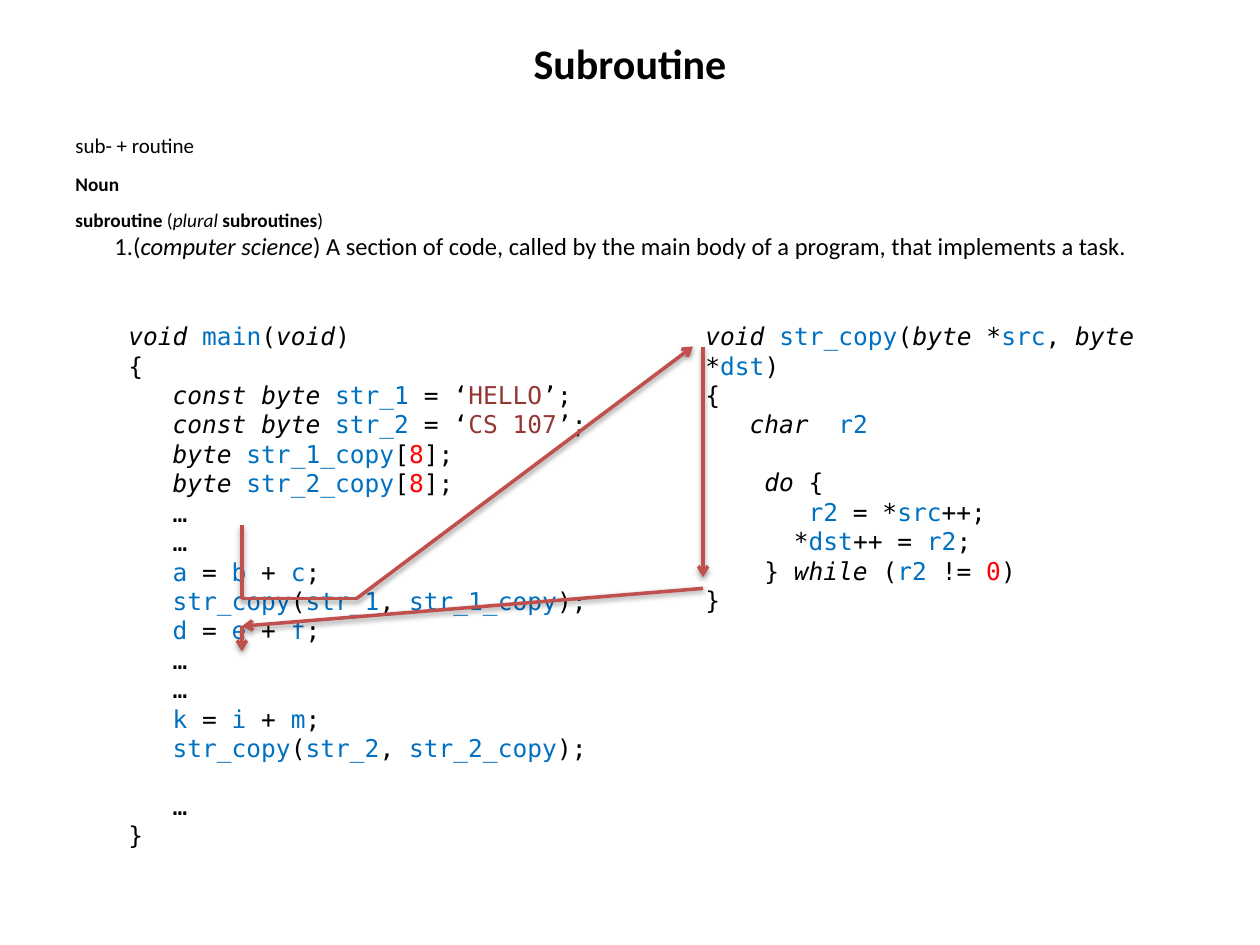
from itertools import groupby, pairwise

from lxml.etree import SubElement
from pptx import Presentation
from pptx.dml.color import RGBColor
from pptx.enum.shapes import MSO_CONNECTOR
from pptx.enum.text import MSO_AUTO_SIZE, PP_ALIGN
from pptx.oxml import parse_xml
from pptx.oxml.ns import nsdecls, qn
from pptx.util import Inches, Pt

BLACK, BLUE, RED, MAROON, ARROW = "000000", "0070C0", "FF0000", "953735", "C0504D"
TEXT_FONT, CODE_FONT = "Calibri", "DejaVu Sans Mono"
CODE_SIZE, CODE_LINE, CHARACTER_WIDTH = 14, 16.3, 0.117
KEYWORDS = {"void", "const", "byte", "char", "do", "while"}

TITLE = "Subroutine"

DEFINITION = [
    (12, 0, 0, [("sub- + routine", "")]),
    (11, 8.5, 0, [("Noun", "b")]),
    (11, 7.3, 0, [("subroutine", "b"), (" (", ""), ("plural ", "i"),
                  ("subroutines", "b"), (")", "")]),
    (14, 0, 0.31, [("1.(", ""), ("computer science", "i"),
                   (") A section of code, called by the main body of a program, "
                    "that implements a task.", "")]),
]

MAIN_CODE = [
    (0, "void main(void)"),
    (0, "{"),
    (3, "const byte str_1 = ‘HELLO’;"),
    (3, "const byte str_2 = ‘CS 107’;"),
    (3, "byte str_1_copy[8];"),
    (3, "byte str_2_copy[8];"),
    (3, "…"),
    (3, "…"),
    (3, "a = b + c;"),
    (3, "str_copy(str_1, str_1_copy);"),
    (3, "d = e + f;"),
    (3, "…"),
    (3, "…"),
    (3, "k = i + m;"),
    (3, "str_copy(str_2, str_2_copy);"),
    (3, "…"),
    (0, "}"),
]

COPY_CODE = [
    (0, "void str_copy(byte *src, byte *dst)"),
    (0, "{"),
    (3, "char  r2"),
    (4, "do {"),
    (7, "r2 = *src++;"),
    (6, "*dst++ = r2;"),
    (4, "} while (r2 != 0)"),
    (0, "}"),
]

CODE_BOXES = [
    ((5.5, 2.5, 4.01, 2.22), COPY_CODE, 3),
    ((0.92, 2.5, 3.9, 4.41), MAIN_CODE, 15),
]

CALL_ROUTE = [(1.92, 4.17), (1.92, 4.75), (2.83, 4.75), (5.5, 2.75)]
BODY_ROUTE = [(5.58, 2.75), (5.58, 4.58)]
RETURN_ROUTE = [(5.58, 4.67), (1.92, 4.97), (1.92, 5.17)]
ROUTES = [(CALL_ROUTE, {2}), (BODY_ROUTE, {0}), (RETURN_ROUTE, {0, 1})]


def color(value):
    return RGBColor.from_string(value)


def add_box(page, place):
    box = page.shapes.add_textbox(*map(Inches, place))
    box.text_frame.word_wrap = True
    box.text_frame.auto_size = MSO_AUTO_SIZE.SHAPE_TO_FIT_TEXT
    return box.text_frame


def add_paragraph(frame, first, indent=0, space=0):
    para = frame.paragraphs[0] if first else frame.add_paragraph()
    para.space_before = Pt(space)
    if indent:
        properties = para._p.get_or_add_pPr()
        properties.set("marL", str(Inches(indent)))
        properties.set("indent", "0")
    return para


def add_span(para, text, size, font, fill=BLACK, bold=False, italic=False):
    span = para.add_run()
    span.text = text
    span.font.size = Pt(size)
    span.font.name = font
    span.font.bold = bold
    span.font.italic = italic
    span.font.color.rgb = color(fill)


def highlight(line):
    code, opening, rest = line.partition("‘")
    literal, closing, ending = rest.partition("’")
    for is_word, letters in groupby(code, lambda c: c.isalnum() or c == "_"):
        word = "".join(letters)
        if not is_word or word in KEYWORDS:
            yield word, BLACK, word in KEYWORDS
        else:
            yield word, RED if word.isdigit() else BLUE, False
    if opening:
        yield opening, BLACK, False
        yield literal, MAROON, False
        yield closing + ending, BLACK, False


def add_code(page, place, lines, line_after_gap):
    frame = add_box(page, place)
    for index, (spaces, line) in enumerate(lines):
        gap = CODE_LINE if index == line_after_gap else 0
        para = add_paragraph(frame, index == 0, spaces * CHARACTER_WIDTH, gap)
        for text, fill, italic in highlight(line):
            add_span(para, text, CODE_SIZE, CODE_FONT, fill, italic=italic)


def add_line(page, start, end, arrow):
    line = page.shapes.add_connector(
        MSO_CONNECTOR.STRAIGHT, *map(Inches, start + end))
    line.line.color.rgb = color(ARROW)
    line.line.width = Pt(2)
    if arrow:
        SubElement(line.line._get_or_add_ln(), qn("a:tailEnd"), type="arrow")
    line._element.spPr.append(parse_xml(
        f'<a:effectLst {nsdecls("a")}>'
        f'<a:outerShdw blurRad="{Pt(3.1)}" dist="{Pt(1.6)}" dir="5400000" rotWithShape="0">'
        f'<a:srgbClr val="{BLACK}"><a:alpha val="38000"/></a:srgbClr>'
        '</a:outerShdw></a:effectLst>'))


def main():
    deck = Presentation()
    deck.slide_width, deck.slide_height = Inches(10), Inches(7.5)
    page = deck.slides.add_slide(deck.slide_layouts[6])

    frame = add_box(page, (0.5, 1, 8.75, 1.13))
    for index, (size, space, indent, spans) in enumerate(DEFINITION):
        para = add_paragraph(frame, index == 0, indent, space)
        for text, style in spans:
            add_span(para, text, size, TEXT_FONT,
                     bold=style == "b", italic=style == "i")

    for place, lines, line_after_gap in CODE_BOXES:
        add_code(page, place, lines, line_after_gap)

    for points, arrows in ROUTES:
        for index, (start, end) in enumerate(pairwise(points)):
            add_line(page, start, end, index in arrows)

    title = add_paragraph(add_box(page, (0, 0.25, 10, 0.5)), True)
    title.alignment = PP_ALIGN.CENTER
    add_span(title, TITLE, 24, TEXT_FONT, bold=True)

    deck.save("out.pptx")


if __name__ == "__main__":
    main()
